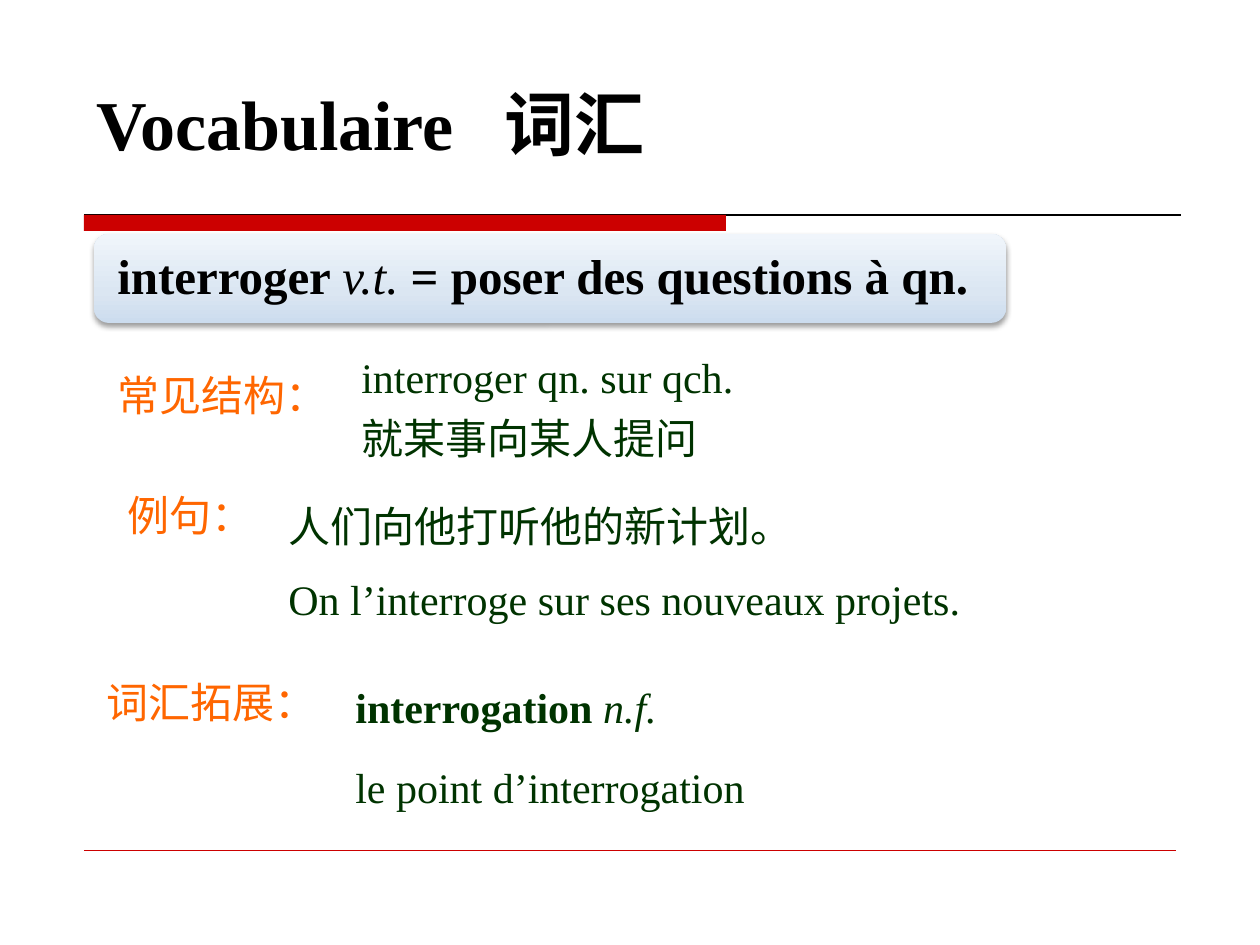
from copy import deepcopy
from dataclasses import dataclass

from pptx import Presentation
from pptx.dml.color import RGBColor
from pptx.enum.shapes import MSO_CONNECTOR, MSO_SHAPE
from pptx.enum.text import MSO_ANCHOR
from pptx.oxml.ns import qn
from pptx.util import Pt
from lxml.etree import SubElement


def px(num):
    return round(num * 914400 / 126)


@dataclass
class Theme:
    red: str = "CC0000"
    ink: str = "000000"
    green: str = "003300"
    orange: str = "FF6600"
    card: tuple = ((0, "CCDCEE"), (0.35, "DBE6F2"), (1, "F0F5FB"))
    title: int = 40
    head: int = 28
    body: int = 24
    serif: str = "Times New Roman"
    han: str = "Noto Sans CJK SC"


BOLD = {"bold": True}
SLANT = {"italic": True}


class Page:
    def __init__(self, deck, theme):
        self.theme = theme
        self.slide = deck.slides.add_slide(deck.slide_layouts[6])
        self.shapes = self.slide.shapes

    def line(self, left, right, y, color, width):
        line = self.shapes.add_connector(
            MSO_CONNECTOR.STRAIGHT, px(left), px(y), px(right), px(y))
        line.line.color.rgb = RGBColor.from_string(color)
        line.line.width = Pt(width)
        SubElement(line._element.spPr, qn("a:effectLst"))

    def block(self, kind, box):
        shape = self.shapes.add_shape(kind, *map(px, box))
        shape.shadow.inherit = False
        shape.line.fill.background()
        return shape

    def bar(self, box, color):
        fill = self.block(MSO_SHAPE.RECTANGLE, box).fill
        fill.solid()
        fill.fore_color.rgb = RGBColor.from_string(color)

    def card(self, box, runs):
        shape = self.block(MSO_SHAPE.ROUNDED_RECTANGLE, box)
        shape.fill.gradient()
        shape.fill.gradient_angle = 90
        prop = shape._element.spPr
        stops = prop.find(".//" + qn("a:gsLst"))
        stops.append(deepcopy(stops[-1]))
        for stop, (place, color) in zip(shape.fill.gradient_stops, self.theme.card):
            stop.position = place
            stop.color.rgb = RGBColor.from_string(color)
        glow = SubElement(prop.find(qn("a:effectLst")), qn("a:outerShdw"),
                          blurRad=str(Pt(3.1)), dist=str(Pt(1.6)),
                          dir="5400000", rotWithShape="0")
        tint = SubElement(glow, qn("a:srgbClr"), val=self.theme.ink)
        SubElement(tint, qn("a:alpha"), val="38000")
        shape.text_frame.margin_left = px(19)
        self.fill_text(shape.text_frame, [runs], self.theme.head, self.theme.ink,
                       lead=0.9)

    def text(self, box, paras, size, color, **style):
        frame = self.shapes.add_textbox(*map(px, box)).text_frame
        self.fill_text(frame, paras, size, color, **style)

    def fill_text(self, frame, paras, size, color, face=None, lead=None, dent=0,
                  tab=0, anchor=MSO_ANCHOR.MIDDLE):
        frame.word_wrap = True
        frame.vertical_anchor = anchor
        base = {"name": face or self.theme.serif, "size": Pt(size),
                "bold": False, "italic": False}
        for num, runs in enumerate(paras):
            para = frame.add_paragraph() if num else frame.paragraphs[0]
            prop = para._p.get_or_add_pPr()
            prop.set("algn", "l")
            prop.set("marL", str(px(dent)))
            if tab:
                tabs = SubElement(prop, qn("a:tabLst"))
                SubElement(tabs, qn("a:tab"), pos=str(px(tab)), algn="l")
            if lead:
                para.line_spacing = lead
            for words, form in runs:
                run = para.add_run()
                run.text = words
                for key, value in {**base, **form}.items():
                    setattr(run.font, key, value)
                run.font.color.rgb = RGBColor.from_string(color)
                SubElement(run._r.get_or_add_rPr(), qn("a:ea"),
                           typeface=self.theme.han)


def main():
    deck = Presentation()
    deck.slide_width, deck.slide_height = px(1260), px(945)
    theme = Theme()
    page = Page(deck, theme)

    page.line(84, 1181, 215, theme.ink, 0.75)
    page.bar((84, 215, 642, 16), theme.red)
    page.line(84, 1176, 850, theme.red, 0.25)
    page.text((84, 74, 983, 97), [[("Vocabulaire\t词汇", BOLD)]],
              theme.title, theme.ink, tab=408)
    page.card((94, 234, 912, 89), [
        ("interroger ", BOLD), ("v.t. ", SLANT),
        ("= poser des questions à qn.", BOLD)])

    labels = (
        ((105, 363, 248, 64), "常见结构："),
        ((115, 483, 198, 63), "例句："),
        ((94, 670, 258, 64), "词汇拓展："),
    )
    for box, words in labels:
        page.text(box, [[(words, {})]], theme.body, theme.orange, face=theme.han)

    fixed = {"lead": Pt(35), "anchor": MSO_ANCHOR.TOP}
    notes = (
        ((223, 334, 556, 130), [[("interroger qn. sur qch.", {})],
                                [("就某事向某人提问", {})]], {"dent": 126, **fixed}),
        ((213, 483, 704, 68), [[("人们向他打听他的新计划。", {})]],
         {"dent": 63, **fixed}),
        ((174, 567, 1070, 63), [[("On l’interroge sur ses nouveaux projets.", {})]],
         {"dent": 102}),
        ((343, 675, 407, 63), [[("interrogation ", BOLD), ("n.f.", SLANT)]], {}),
        ((343, 755, 507, 63), [[("le point d’interrogation", {})]], {}),
    )
    for box, paras, style in notes:
        page.text(box, paras, theme.body, theme.green, **style)

    deck.save("out.pptx")


if __name__ == "__main__":
    main()
